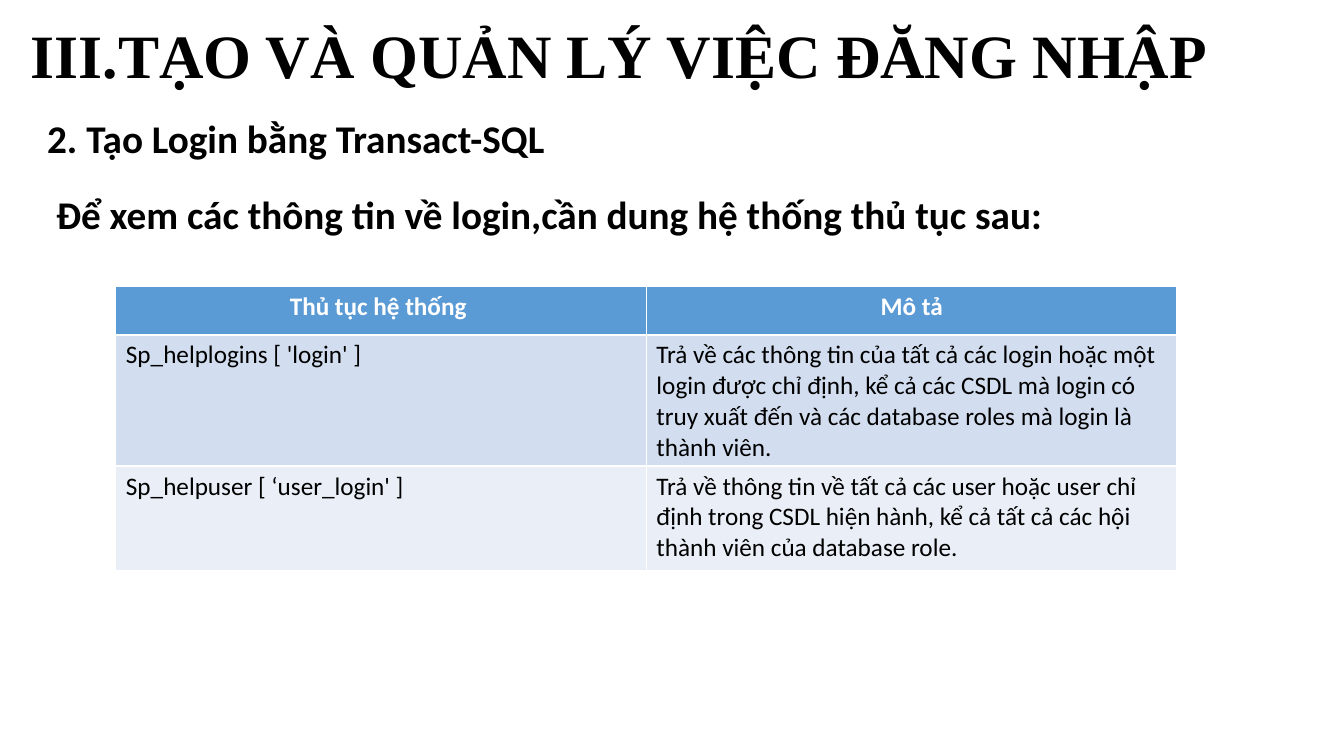
"""Builds a slide on viewing login information with Transact-SQL."""
from pptx import Presentation
from pptx.dml.color import RGBColor
from pptx.enum.text import MSO_ANCHOR, PP_ALIGN
from pptx.util import Cm, Pt

BLACK = RGBColor(0x00, 0x00, 0x00)
WHITE = RGBColor(0xFF, 0xFF, 0xFF)
HEADER_BLUE = RGBColor(0x5B, 0x9B, 0xD5)
BAND_BLUE = RGBColor(0xD2, 0xDE, 0xEF)
BAND_PALE = RGBColor(0xEA, 0xEF, 0xF7)

INTRO_LINES = [
    "2. Tạo Login bằng Transact-SQL",
    " Để xem các thông tin về login,cần dung hệ thống thủ tục sau:",
]
PROCEDURES = [
    ("Thủ tục hệ thống ", "Mô tả"),
    ("Sp_helplogins [ 'login' ]",
     "Trả về các thông tin của tất cả các login hoặc một login được chỉ định, "
     "kể cả các CSDL mà login có truy xuất đến và các database roles mà login "
     "là thành viên."),
    ("Sp_helpuser [ ‘user_login' ]",
     "Trả về thông tin về tất cả các user hoặc user chỉ định trong CSDL hiện "
     "hành, kể cả tất cả các hội thành viên của database role."),
]
ROW_HEIGHTS = [1.22, 3.3, 2.64]
ROW_FILLS = [HEADER_BLUE, BAND_BLUE, BAND_PALE]


def set_font(paragraph, name, size, color, bold):
    font = paragraph.font
    font.name = name
    font.size = Pt(size)
    font.color.rgb = color
    font.bold = bold


def add_text_frame(page, left, top, width, height):
    frame = page.shapes.add_textbox(Cm(left), Cm(top), Cm(width), Cm(height)).text_frame
    frame.word_wrap = True
    return frame


deck = Presentation()
deck.slide_width = Cm(33.87)
deck.slide_height = Cm(19.05)
page = deck.slides.add_slide(deck.slide_layouts[6])

title = add_text_frame(page, 0.53, -0.36, 32.39, 3.68)
title.vertical_anchor = MSO_ANCHOR.MIDDLE
heading = title.paragraphs[0]
heading.text = "III.TẠO VÀ QUẢN LÝ VIỆC ĐĂNG NHẬP"
heading.line_spacing = 0.9
set_font(heading, "Times New Roman", 44, BLACK, True)

intro = add_text_frame(page, 0.94, 2.41, 31.6, 13.41)
intro.text = "\n".join(INTRO_LINES)
for paragraph in intro.paragraphs:
    paragraph.alignment = PP_ALIGN.JUSTIFY
    paragraph.line_spacing = 1.3
    paragraph.space_before = Pt(10)
    set_font(paragraph, "Calibri", 28, BLACK, True)

table = page.shapes.add_table(
    len(PROCEDURES), 2, Cm(2.92), Cm(7.22), Cm(26.74), Cm(sum(ROW_HEIGHTS))
).table
for row_index, texts in enumerate(PROCEDURES):
    is_header = row_index == 0
    table.rows[row_index].height = Cm(ROW_HEIGHTS[row_index])
    for column_index, text in enumerate(texts):
        cell = table.cell(row_index, column_index)
        cell.fill.solid()
        cell.fill.fore_color.rgb = ROW_FILLS[row_index]
        cell.text = text
        paragraph = cell.text_frame.paragraphs[0]
        paragraph.alignment = PP_ALIGN.CENTER if is_header else PP_ALIGN.LEFT
        set_font(paragraph, "Calibri", 18, WHITE if is_header else BLACK, is_header)

deck.save("out.pptx")
